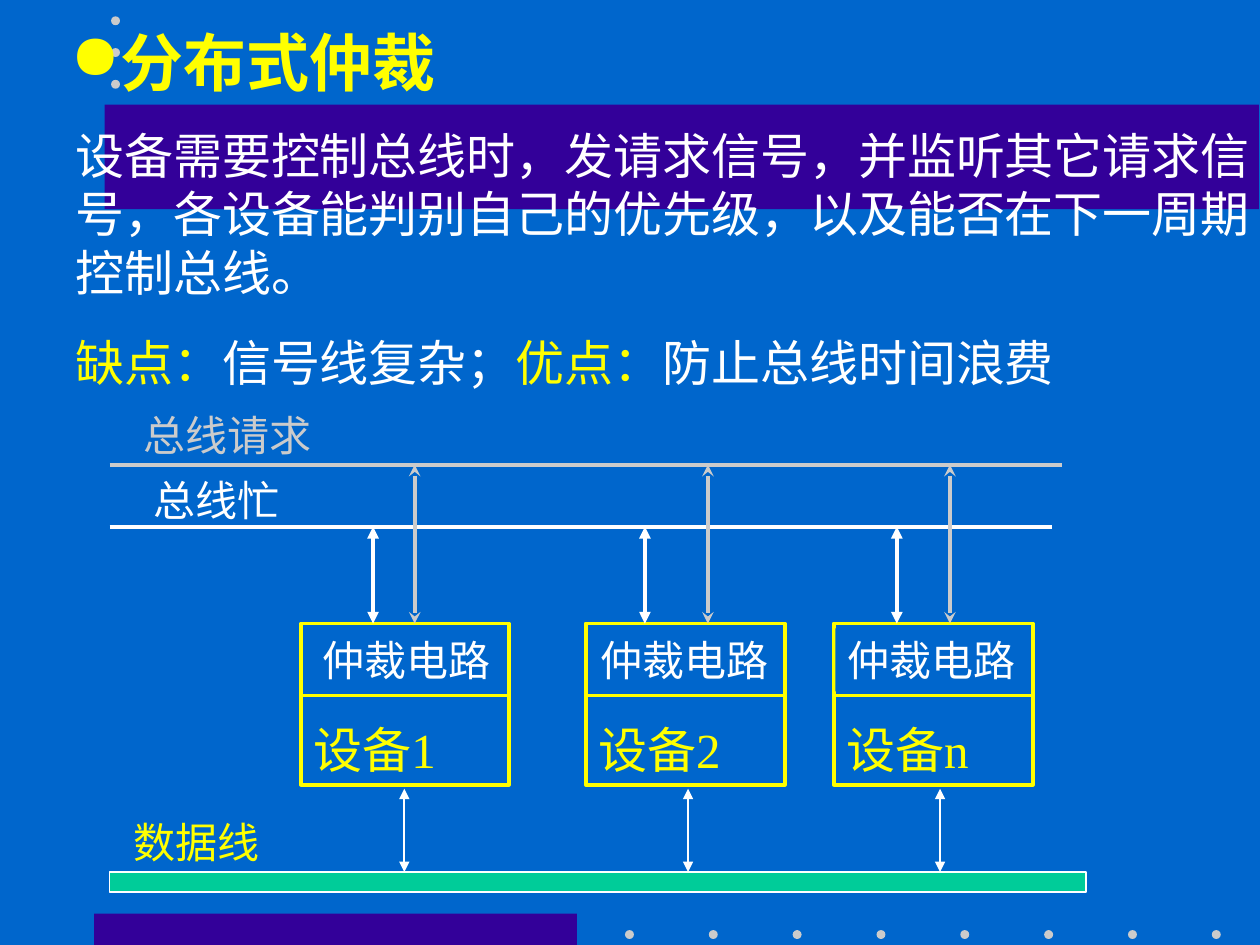
from lxml import etree
from pptx import Presentation
from pptx.dml.color import RGBColor
from pptx.enum.shapes import MSO_CONNECTOR, MSO_SHAPE
from pptx.enum.text import MSO_ANCHOR, PP_ALIGN
from pptx.oxml.ns import qn
from pptx.util import Cm, Pt

RECTANGLE, OVAL = MSO_SHAPE.RECTANGLE, MSO_SHAPE.OVAL
STRAIGHT = MSO_CONNECTOR.STRAIGHT
TOP, MIDDLE, BOTTOM = MSO_ANCHOR.TOP, MSO_ANCHOR.MIDDLE, MSO_ANCHOR.BOTTOM
LEFT = PP_ALIGN.LEFT

BLUE, PURPLE, GREEN = "0066CC", "330099", "00CC99"
YELLOW, WHITE, GRAY = "FFFF00", "FFFFFF", "CBCBCB"
CHINESE_FONT, LATIN_FONT = "Noto Sans CJK SC", "Times New Roman"

REQUEST_Y, BUSY_Y, DATA_Y = 9.37, 10.62, 17.58
BOX_TOP, BOX_HEIGHT, DIVIDER_Y = 12.57, 3.25, 14.02

# name, box left, box width, label left, busy x, request x, data x
DEVICES = [
    ("设备1", 6.07, 4.19, 6.25, 7.52, 8.36, 8.15),
    ("设备2", 11.81, 4.01, 11.86, 13.0, 14.27, 13.87),
    ("设备n", 16.81, 4.01, 16.84, 18.08, 19.15, 18.95),
]


def color(value):
    return RGBColor.from_string(value)


def add_shape(slide, kind, left, top, width, height, fill=None, line=None, weight=1):
    shape = slide.shapes.add_shape(kind, Cm(left), Cm(top), Cm(width), Cm(height))
    shape.shadow.inherit = False
    if fill:
        shape.fill.solid()
        shape.fill.fore_color.rgb = color(fill)
    else:
        shape.fill.background()
    if line:
        shape.line.color.rgb = color(line)
        shape.line.width = Pt(weight)
    else:
        shape.line.fill.background()
    return shape


def add_line(slide, start, end, line, weight=2.25, arrow=None):
    connector = slide.shapes.add_connector(STRAIGHT, *[Cm(v) for v in start + end])
    connector.line.color.rgb = color(line)
    connector.line.width = Pt(weight)
    if arrow:
        outline = connector.line._get_or_add_ln()
        for tag in ("a:headEnd", "a:tailEnd"):
            etree.SubElement(outline, qn(tag), type=arrow)
    etree.SubElement(connector._element.spPr, qn("a:effectLst"))


def format_run(run, size, text_color, latin=CHINESE_FONT, bold=False):
    run.font.size = Pt(size)
    run.font.bold = bold
    run.font.color.rgb = color(text_color)
    run.font.name = latin
    east_asian = etree.SubElement(run.font._element, qn("a:ea"))
    east_asian.set("typeface", CHINESE_FONT)


def format_paragraph(paragraph, size):
    paragraph.alignment = LEFT
    paragraph.line_spacing = Pt(round(size * 1.2, 1))


def set_text(shape, text, size, text_color, latin=CHINESE_FONT, anchor=TOP, wrap=False, bold=False):
    frame = shape.text_frame
    frame.text = text
    frame.word_wrap = wrap
    frame.vertical_anchor = anchor
    paragraph = frame.paragraphs[0]
    format_paragraph(paragraph, size)
    format_run(paragraph.runs[0], size, text_color, latin, bold)
    return paragraph


def add_text(slide, left, top, width, height, *args, **options):
    box = slide.shapes.add_textbox(Cm(left), Cm(top), Cm(width), Cm(height))
    set_text(box, *args, **options)
    return box


def add_bullet(paragraph, character, indent):
    properties = paragraph._p.get_or_add_pPr()
    properties.set("marL", str(Cm(indent)))
    properties.set("indent", str(-Cm(indent)))
    bullet_color = etree.SubElement(properties, qn("a:buClr"))
    etree.SubElement(bullet_color, qn("a:srgbClr"), val=YELLOW)
    etree.SubElement(properties, qn("a:buChar"), char=character)


def add_background(slide):
    slide.background.fill.solid()
    slide.background.fill.fore_color.rgb = color(BLUE)
    add_shape(slide, RECTANGLE, 1.9, 18.42, 9.73, 0.63, PURPLE)
    add_shape(slide, RECTANGLE, 2.11, 2.11, 23.27, 2.11, PURPLE)
    bottom_dots = [(12.6 + 1.69 * i, 18.75) for i in range(8)]
    top_dots = [(2.24, 0.33 + 0.64 * i) for i in range(3)]
    for left, top in bottom_dots + top_dots:
        add_shape(slide, OVAL, left, top, 0.18, 0.18, GRAY)


def add_heading(slide):
    title = add_text(slide, 1.17, 0.25, 9.73, 1.96, "分布式仲裁", 36, YELLOW,
                     anchor=MIDDLE, wrap=True, bold=True)
    add_bullet(title.text_frame.paragraphs[0], "●", 1.0)

    body = add_text(slide, 1.27, 2.4, 24.3, 5.61,
                    "设备需要控制总线时，发请求信号，并监听其它请求信号，"
                    "各设备能判别自己的优先级，以及能否在下一周期控制总线。",
                    28, WHITE, wrap=True)
    paragraph = body.text_frame.add_paragraph()
    format_paragraph(paragraph, 28)
    paragraph.space_before = Pt(17.5)
    for text, text_color in (("缺点：", YELLOW), ("信号线复杂；", WHITE),
                             ("优点：", YELLOW), ("防止总线时间浪费", WHITE)):
        run = paragraph.add_run()
        run.text = text
        format_run(run, 28, text_color)


def add_buses(slide):
    add_line(slide, (2.21, REQUEST_Y), (21.41, REQUEST_Y), GRAY)
    add_line(slide, (2.21, BUSY_Y), (21.21, BUSY_Y), WHITE)
    add_shape(slide, RECTANGLE, 2.21, DATA_Y, 19.69, 0.41, GREEN, WHITE)
    add_text(slide, 2.64, 8.13, 3.89, 1.27, "总线请求", 24, GRAY)
    add_text(slide, 2.84, 9.45, 3.05, 1.27, "总线忙", 24, WHITE)
    add_text(slide, 2.44, 16.33, 3.05, 1.27, "数据线", 24, YELLOW)


def add_device(slide, name, left, width, label_left, busy_x, request_x, data_x):
    box = add_shape(slide, RECTANGLE, left, BOX_TOP, width, BOX_HEIGHT, line=YELLOW, weight=2.25)
    set_text(box, name, 28, YELLOW, LATIN_FONT, BOTTOM, wrap=True)
    label = add_shape(slide, RECTANGLE, label_left, 12.67, 3.89, 1.27, BLUE)
    set_text(label, "仲裁电路", 24, WHITE, LATIN_FONT)
    add_line(slide, (left, DIVIDER_Y), (left + width, DIVIDER_Y), YELLOW)
    # Signals to the buses
    add_line(slide, (request_x, REQUEST_Y), (request_x, BOX_TOP), GRAY, arrow="stealth")
    add_line(slide, (busy_x, BUSY_Y), (busy_x, BOX_TOP), WHITE, arrow="triangle")
    add_line(slide, (data_x, 15.9), (data_x, DATA_Y), WHITE, 1, "triangle")


def main():
    presentation = Presentation()
    presentation.slide_width, presentation.slide_height = Cm(25.4), Cm(19.05)
    slide = presentation.slides.add_slide(presentation.slide_layouts[6])
    add_background(slide)
    add_heading(slide)
    add_buses(slide)
    for device in DEVICES:
        add_device(slide, *device)
    presentation.save("out.pptx")


if __name__ == "__main__":
    main()
